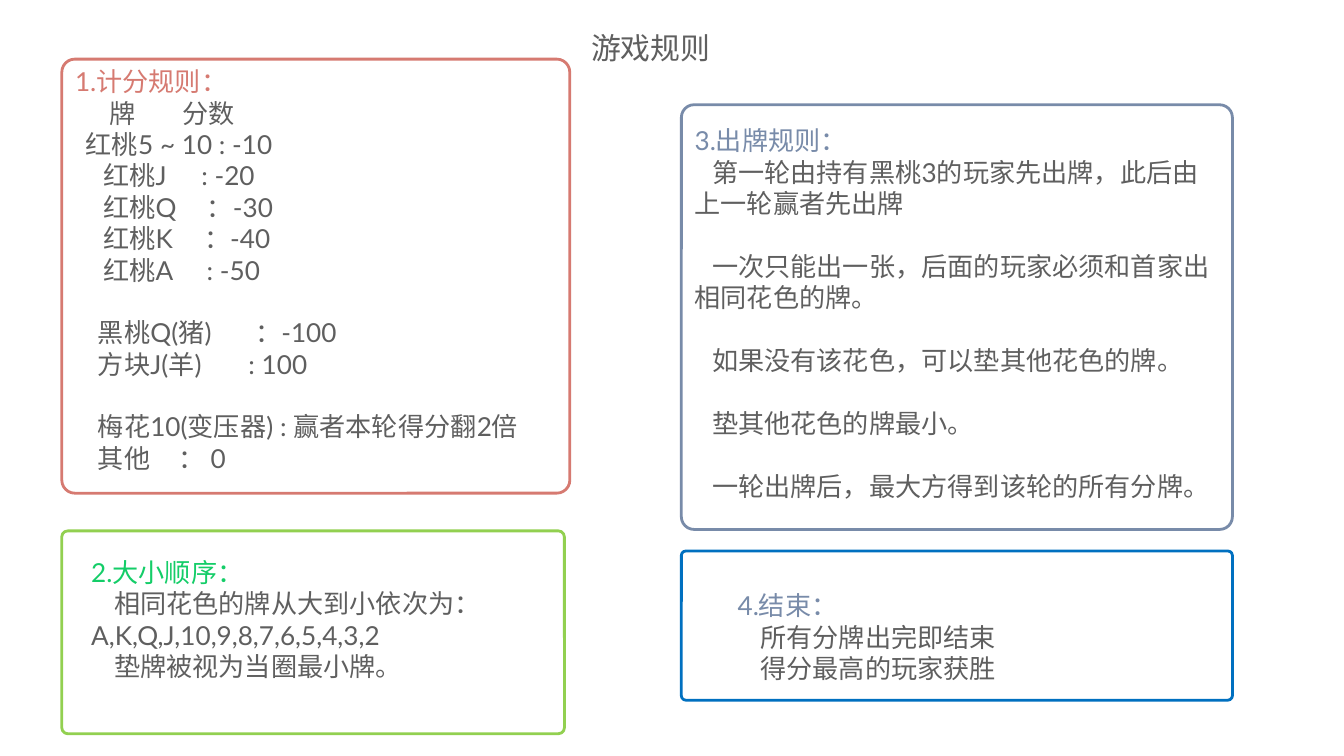
from lxml import etree
from pptx import Presentation
from pptx.dml.color import RGBColor
from pptx.enum.shapes import MSO_SHAPE as Shape
from pptx.oxml.ns import qn
from pptx.util import Inches, Pt

GREY = RGBColor(0x5F, 0x5F, 0x5F)
RED = RGBColor(0xD6, 0x7A, 0x71)
SLATE = RGBColor(0x78, 0x8B, 0xA9)
GREEN = RGBColor(0x14, 0xCD, 0x68)
LIME = RGBColor(0x92, 0xD0, 0x50)
BLUE = RGBColor(0x00, 0x70, 0xC0)

LATIN, CJK = "Lato", "Noto Sans CJK SC"
BLANK_LINE = 16.8  # height of one 14 pt line, in points

# Each row: text, first-line indent or tab stops (inches), space before (points)
SCORING = [
    ("\t牌\t分数", (0.26, 0.8), 0),
    ("红桃5 ~ 10 : -10", 0.08, 0),
    ("\t红桃J\t: -20", (0.21, 0.94), 0),
    ("\t红桃Q\t：-30", (0.21, 0.98), 0),
    ("\t红桃K\t：-40", (0.21, 0.96), 0),
    ("\t红桃A\t: -50", (0.21, 0.98), 0),
    ("\t黑桃Q(猪)\t：-100", (0.17, 1.34), BLANK_LINE),
    ("\t方块J(羊)\t: 100", (0.17, 1.29), 0),
    ("梅花10(变压器) : 赢者本轮得分翻2倍", 0.17, BLANK_LINE),
    ("\t其他\t： 0", (0.17, 0.77), 0),
]
RANKING = [
    ("相同花色的牌从大到小依次为：\nA,K,Q,J,10,9,8,7,6,5,4,3,2", 0.17, 0),
    ("垫牌被视为当圈最小牌。", 0.17, 0),
]
PLAY = [
    ("第一轮由持有黑桃3的玩家先出牌，此后由上一轮赢者先出牌", 0.13, 0),
    ("一次只能出一张，后面的玩家必须和首家出相同花色的牌。", 0.13, BLANK_LINE),
    ("如果没有该花色，可以垫其他花色的牌。", 0.13, BLANK_LINE),
    ("垫其他花色的牌最小。", 0.13, BLANK_LINE),
    ("一轮出牌后，最大方得到该轮的所有分牌。", 0.13, BLANK_LINE),
]
ENDING = [
    ("所有分牌出完即结束", 0.17, 0),
    ("得分最高的玩家获胜", 0.17, 0),
]


class RulesSlide:
    def __init__(self, prs):
        self.s = prs.slides.add_slide(prs.slide_layouts[6])

    def text_box(self, x, y, w, h):
        tf = self.s.shapes.add_textbox(*map(Inches, (x, y, w, h))).text_frame
        tf.word_wrap = True
        return tf

    def run(self, p, text, color, size=14, font=LATIN):
        r = p.add_run()
        r.text = text
        r.font.size = Pt(size)
        r.font.name = font
        r.font.color.rgb = color
        etree.SubElement(r.font._element, qn("a:ea"), typeface=CJK)

    def layout(self, p, start, before=0):
        """Set the space before, and either tab stops or a first-line indent."""
        p.space_before = Pt(before)
        pPr = p._p.get_or_add_pPr()
        if isinstance(start, tuple):
            tabs = etree.SubElement(pPr, qn("a:tabLst"))
            for stop in start:
                etree.SubElement(tabs, qn("a:tab"), pos=str(Inches(stop)), algn="l")
        else:
            pPr.set("marL", "0")
            pPr.set("indent", str(Inches(start)))

    def title(self, text, box):
        p = self.text_box(*box).paragraphs[0]
        self.layout(p, 0.1)
        self.run(p, text, GREY, 16, CJK)

    def section(self, heading, color, rows, box):
        tf = self.text_box(*box)
        self.run(tf.paragraphs[0], heading, color)
        for text, start, before in rows:
            p = tf.add_paragraph()
            self.layout(p, start, before)
            for i, line in enumerate(text.split("\n")):
                if i:
                    p.add_line_break()
                self.run(p, line, GREY)

    def frame(self, color, box):
        sp = self.s.shapes.add_shape(Shape.ROUNDED_RECTANGLE, *map(Inches, box))
        sp.adjustments[0] = 0.03
        sp.shadow.inherit = False
        sp.fill.background()
        sp.line.color.rgb = color
        sp.line.width = Pt(1.5)


def main():
    prs = Presentation()
    prs.slide_width = Inches(10)
    prs.slide_height = prs.slide_width * 9 // 16
    rules = RulesSlide(prs)

    rules.title("游戏规则", (4.2, 0.17, 1.61, 0.37))
    rules.section("2.大小顺序：", GREEN, RANKING, (0.58, 4.09, 3.65, 1.28))
    rules.section("3.出牌规则：", SLATE, PLAY, (5.07, 0.88, 4.1, 2.93))
    rules.section("1.计分规则：", RED, SCORING, (0.46, 0.44, 3.89, 3.63))
    rules.section("4.结束：", SLATE, ENDING, (5.39, 4.34, 2.87, 1.04))

    rules.frame(RED, (0.46, 0.44, 3.78, 3.23))
    rules.frame(SLATE, (5.07, 0.78, 4.1, 3.16))
    rules.frame(LIME, (0.46, 3.95, 3.74, 1.51))
    rules.frame(BLUE, (5.07, 4.1, 4.1, 1.11))

    prs.save("out.pptx")


if __name__ == "__main__":
    main()
